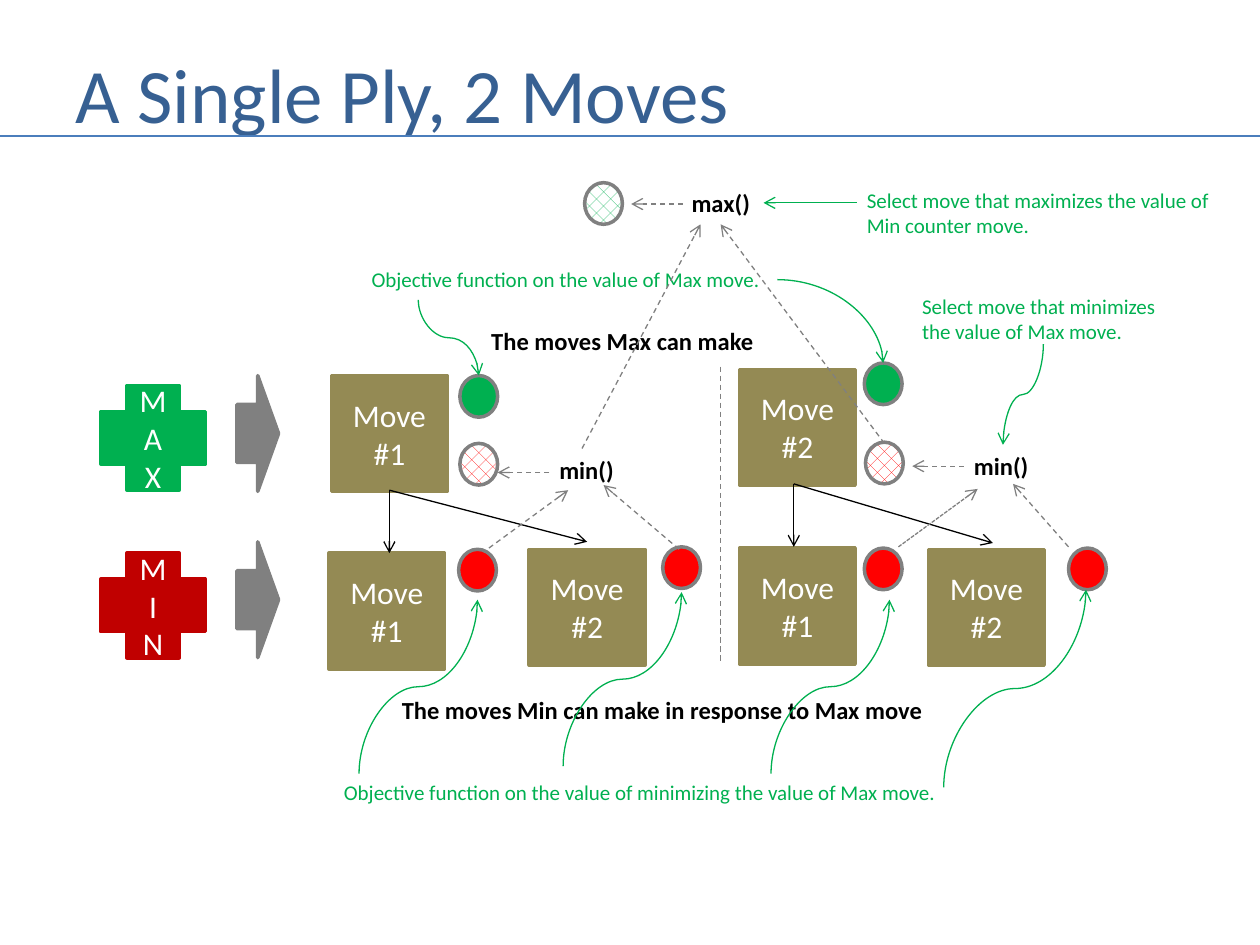
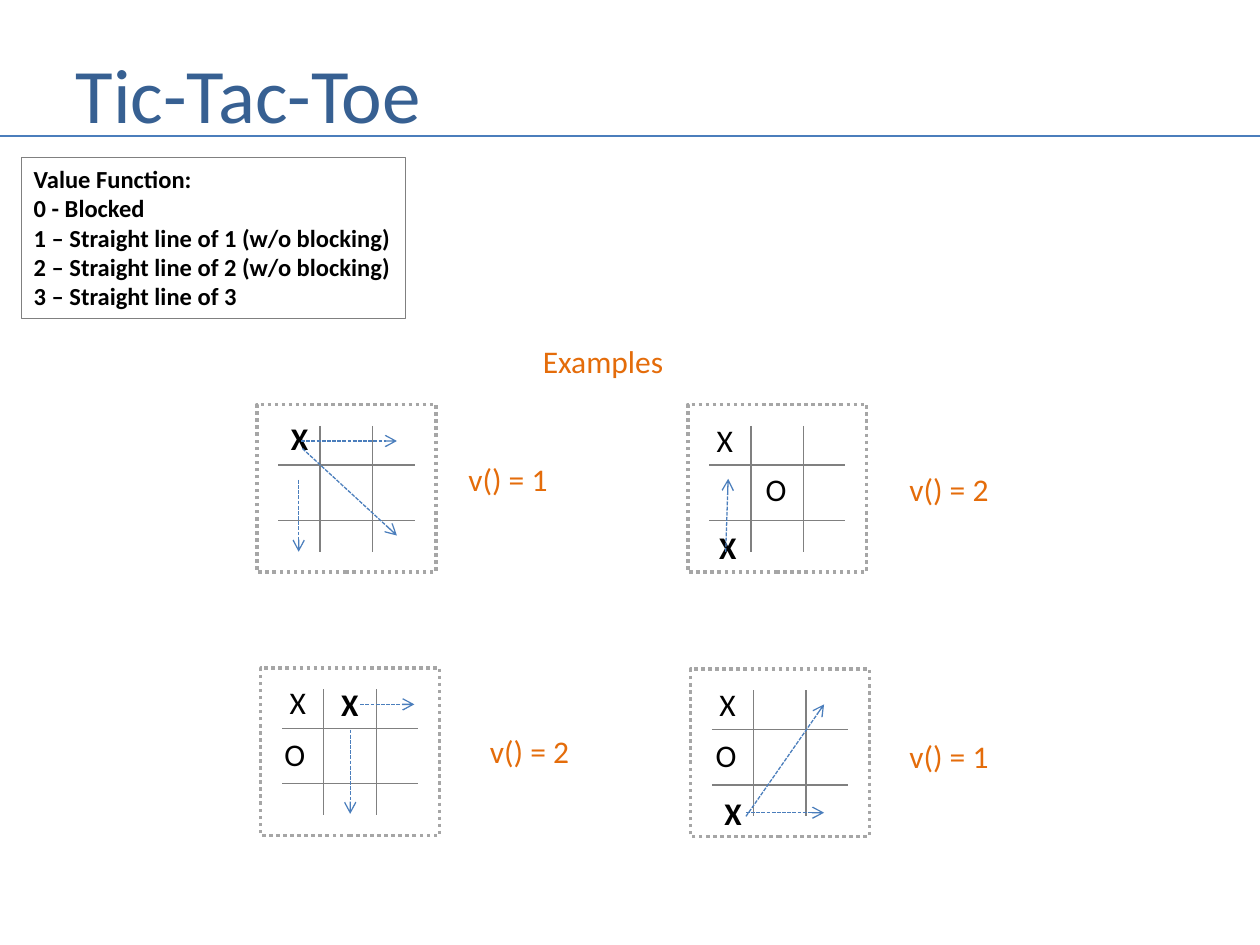
from dataclasses import dataclass
from math import cos, radians, sin

from lxml import etree
from pptx import Presentation
from pptx.dml.color import RGBColor
from pptx.enum.dml import MSO_LINE, MSO_PATTERN
from pptx.enum.shapes import MSO_CONNECTOR, MSO_SHAPE
from pptx.enum.text import MSO_ANCHOR, MSO_AUTO_SIZE, PP_ALIGN
from pptx.oxml.ns import qn
from pptx.util import Pt

STRAIGHT, CURVE = MSO_CONNECTOR.STRAIGHT, MSO_CONNECTOR.CURVE
DASH, SHORT_DASH, DOTS = MSO_LINE.DASH, MSO_LINE.SQUARE_DOT, MSO_LINE.ROUND_DOT
RECTANGLE, OVAL = MSO_SHAPE.RECTANGLE, MSO_SHAPE.OVAL
CROSS, RIGHT_ARROW = MSO_SHAPE.CROSS, MSO_SHAPE.RIGHT_ARROW
SPECKLED = MSO_PATTERN.PERCENT_25
LEFT, CENTER = PP_ALIGN.LEFT, PP_ALIGN.CENTER
MIDDLE, FIT_SHAPE = MSO_ANCHOR.MIDDLE, MSO_AUTO_SIZE.SHAPE_TO_FIT_TEXT

FONT = "Calibri"
TITLE_BLUE, LINE_BLUE = "376092", "4B7EBC"
BLACK, WHITE, GREY, PALE_GREY = "000000", "FFFFFF", "808080", "A6A6A6"
GREEN, RED, DARK_RED = "00B050", "FF0000", "C00000"
OLIVE, ORANGE = "948A54", "E46C0A"

MOVE_SIZE = (66.2, 66.2)
TOKEN_SIZE = (21.6, 23.8)
BOARD_SIZE = (102.2, 95.8)
TITLE_ONLY_LAYOUT = 5


@dataclass
class Label:
    text: str
    left: float
    top: float
    width: float
    height: float
    size: float = 14
    color: str = BLACK
    bold: bool = False
    outline: str | None = None


@dataclass
class Block:
    left: float
    top: float
    size: tuple[float, float]
    fill: str | None
    outline: str
    kind: int = RECTANGLE
    text: str = ""
    speckled: bool = False
    dash: int | None = None


@dataclass
class Link:
    begin: tuple[float, float]
    end: tuple[float, float]
    color: str = GREY
    dash: int | None = None
    arrow: bool = True
    kind: int = STRAIGHT
    rotation: int = 0
    width: float = 0.75
    preset: str | None = None


@dataclass
class Board:
    left: float
    top: float
    marks: list[tuple[str, float, float, bool]]
    arrows: list[tuple[float, float, float, float]]
    value: str
    value_left: float
    value_top: float


def rgb(color: str) -> RGBColor:
    return RGBColor.from_string(color)


def write(shape, text: str, size: float, color: str, bold=False, align=LEFT) -> None:
    """Fill a shape with text, one paragraph per line."""
    shape.text_frame.text = text
    for paragraph in shape.text_frame.paragraphs:
        paragraph.alignment = align
        paragraph.font.name = FONT
        paragraph.font.size = Pt(size)
        paragraph.font.bold = bold
        paragraph.font.color.rgb = rgb(color)


def style_line(line, color: str, width: float, dash: int | None = None) -> None:
    line.color.rgb = rgb(color)
    line.width = Pt(width)
    if dash is not None:
        line.dash_style = dash


def draw_label(slide, label: Label) -> None:
    box = slide.shapes.add_textbox(
        Pt(label.left), Pt(label.top), Pt(label.width), Pt(label.height))
    write(box, label.text, label.size, label.color, label.bold)
    box.text_frame.word_wrap = False
    box.text_frame.auto_size = FIT_SHAPE
    if label.outline:
        style_line(box.line, label.outline, 0.75)


def draw_block(slide, block: Block) -> None:
    width, height = block.size
    shape = slide.shapes.add_shape(
        block.kind, Pt(block.left), Pt(block.top), Pt(width), Pt(height))
    shape.shadow.inherit = False
    if block.fill is None:
        shape.fill.background()
    elif block.speckled:
        shape.fill.patterned()
        shape.fill.pattern = SPECKLED
        shape.fill.fore_color.rgb = rgb(block.fill)
        shape.fill.back_color.rgb = rgb(WHITE)
    else:
        shape.fill.solid()
        shape.fill.fore_color.rgb = rgb(block.fill)
    style_line(shape.line, block.outline, 2, block.dash)
    if block.text:
        write(shape, block.text, 18, WHITE, align=CENTER)
        shape.text_frame.word_wrap = True
        shape.text_frame.vertical_anchor = MIDDLE


def draw_link(slide, link: Link) -> None:
    """Draw a connector, turned about its middle so that its ends stay put."""
    (x1, y1), (x2, y2) = link.begin, link.end
    middle_x, middle_y = (x1 + x2) / 2, (y1 + y2) / 2
    half_x, half_y = (x2 - x1) / 2, (y2 - y1) / 2
    cosine, sine = cos(radians(link.rotation)), sin(radians(link.rotation))
    turned_x = half_x * cosine + half_y * sine
    turned_y = half_y * cosine - half_x * sine
    connector = slide.shapes.add_connector(
        link.kind, Pt(middle_x - turned_x), Pt(middle_y - turned_y),
        Pt(middle_x + turned_x), Pt(middle_y + turned_y))
    connector.rotation = link.rotation
    style_line(connector.line, link.color, link.width, link.dash)
    properties = connector._element.spPr
    if link.preset:
        properties.find(qn("a:prstGeom")).set("prst", link.preset)
    if link.arrow:
        etree.SubElement(properties.find(qn("a:ln")), qn("a:tailEnd"), type="arrow")
    etree.SubElement(properties, qn("a:effectLst"))


def add_titled_slide(presentation, title: str):
    slide = presentation.slides.add_slide(
        presentation.slide_layouts[TITLE_ONLY_LAYOUT])
    placeholder = slide.shapes.title
    placeholder.left, placeholder.top = Pt(36), Pt(21.6)
    placeholder.width, placeholder.height = Pt(653.8), Pt(62.6)
    write(placeholder, title, 44, TITLE_BLUE)
    placeholder.text_frame.vertical_anchor = MIDDLE
    draw_link(slide, Link((0, 77.8), (720, 77.8), LINE_BLUE, arrow=False, width=1.5))
    return slide


def build_ply_slide(presentation) -> None:
    slide = add_titled_slide(presentation, "A Single Ply, 2 Moves")

    players = [("MAX", GREEN, 220.3, 214.6), ("MIN", DARK_RED, 316.1, 309.6)]
    for name, color, cross_top, arrow_top in players:
        draw_block(slide, Block(57.6, cross_top, (59.8, 59.8), color, color, CROSS, name))
        draw_block(slide, Block(135.4, arrow_top, (23.8, 66.2), GREY, GREY, RIGHT_ARROW))

    moves = [
        (189.4, 214.6, 1), (422.6, 211, 2),
        (187.9, 316.1, 1), (302.4, 313.9, 2), (422.6, 313.2, 1), (530.6, 313.9, 2),
    ]
    for left, top, number in moves:
        draw_block(slide, Block(left, top, MOVE_SIZE, OLIVE, OLIVE, text=f"Move\v#{number}"))

    labels = [
        Label("The moves Min can make in response to Max move",
              222.5, 393.8, 313.2, 24.5, bold=True),
        Label("The moves Max can make", 273.6, 182.9, 164.9, 24.5, bold=True),
        Label("max()", 388.1, 103.7, 48.2, 24.5, bold=True),
        Label("min()", 312.5, 256.3, 46.8, 24.5, bold=True),
        Label("min()", 549.4, 254.2, 46.8, 24.5, bold=True),
        Label("Objective function on the value of Max move.",
              205.2, 149, 239, 21.6, 12, GREEN),
        Label("Objective function on the value of minimizing the value of Max move.",
              189.4, 442.1, 353.5, 21.6, 12, GREEN),
        Label("Select move that minimizes\nthe value of Max move.",
              519.8, 164.2, 149.8, 36, 12, GREEN),
        Label("Select move that maximizes the value of\nMin counter move.",
              488.2, 103.7, 212.4, 36, 12, GREEN),
    ]
    for label in labels:
        draw_label(slide, label)

    tokens = [
        (262.8, 214.6, GREEN, False), (493.9, 207.4, GREEN, False),
        (334.1, 104.4, GREEN, True),
        (262.8, 253.4, RED, True), (494.6, 252.7, RED, True),
        (262.1, 313.9, RED, False), (378.7, 312.5, RED, False),
        (493.9, 313.2, RED, False), (610.6, 313.2, RED, False),
    ]
    for left, top, color, speckled in tokens:
        draw_block(slide, Block(left, top, TOKEN_SIZE, color, GREY, OVAL, speckled=speckled))

    divider = Link((411.8, 209.5), (411.8, 378), dash=DASH, arrow=False)
    replies = [
        Link(begin, end, BLACK)
        for begin, ends in [
            ((222.5, 280.1), [(222.5, 316.1), (335.5, 309.6)]),
            ((453.6, 276.5), [(453.6, 312.5), (567.4, 310.3)]),
        ]
        for end in ends
    ]
    values_passed_up = [
        Link((279.4, 313.2), (324.7, 280.1), dash=DASH),
        Link((388.1, 313.9), (344.9, 277.2), dash=DASH),
        Link((513.4, 312.5), (558.7, 279.4), dash=SHORT_DASH),
        Link((610.6, 312.5), (578.9, 276.5), dash=DASH),
        Link((332.6, 256.3), (400.3, 128.2), dash=DASH),
        Link((505.4, 253.4), (411.8, 128.2), dash=DASH),
    ]
    results = [
        Link((x, y), (x - 29.5, y), dash=DASH)
        for x, y in [(313.9, 270), (550.8, 266.4), (390.2, 116.6)]
    ]
    explanations = [
        Link(begin, end, GREEN, kind=CURVE, rotation=rotation)
        for begin, end, rotation in [
            ((205.2, 442.1), (272.9, 342.7), 90),
            ((321.8, 437.8), (389.5, 338.4), 90),
            ((440.6, 442.1), (508.3, 342.7), 90),
            ((539.3, 450), (620.6, 337), 90),
            ((596.2, 196.6), (573.1, 254.2), 90),
            ((239, 171.4), (273.6, 214.6), 270),
            ((489.6, 115.9), (436.3, 115.9), 180),
        ]
    ]
    quarter_turn = Link((444.2, 159.8), (504.7, 207.4), GREEN, kind=CURVE,
                        preset="curvedConnector2")
    for link in [divider, *replies, *values_passed_up, *results, *explanations, quarter_turn]:
        draw_link(slide, link)


def draw_board(slide, board: Board) -> None:
    """Draw a framed grid with its marks, open lines and value."""
    left, top = board.left, board.top
    for x in (36, 66):
        draw_link(slide, Link((left + x, top + 12.2), (left + x, top + 84.2), arrow=False))
    for y in (34.6, 66.2):
        draw_link(slide, Link((left + 12.2, top + y), (left + 90, top + y), arrow=False))
    draw_block(slide, Block(left, top, BOARD_SIZE, None, PALE_GREY, dash=DOTS))
    for mark, x, y, bold in board.marks:
        width = 26.6 if mark == "O" else 24.2
        draw_label(slide, Label(mark, left + x, top + y, width, 28.8, 18, bold=bold))
    for x1, y1, x2, y2 in board.arrows:
        draw_link(slide, Link((left + x1, top + y1), (left + x2, top + y2),
                              LINE_BLUE, SHORT_DASH))
    draw_label(slide, Label(board.value, board.value_left, board.value_top,
                            60.5, 28.8, 18, ORANGE))


def build_tic_tac_toe_slide(presentation) -> None:
    slide = add_titled_slide(presentation, "Tic-Tac-Toe")
    value_function = "\n".join([
        "Value Function:",
        "0 - Blocked",
        "1 – Straight line of 1 (w/o blocking)",
        "2 – Straight line of 2 (w/o blocking)",
        "3 – Straight line of 3",
    ])
    draw_label(slide, Label(value_function, 12.2, 90, 219.6, 92.2, bold=True, outline=GREY))
    draw_label(slide, Label("Examples", 303.1, 192.2, 84.2, 28.8, 18, ORANGE))

    boards = [
        Board(146.9, 231.1, [("X", 12.2, 5, True)],
              [(23.8, 43.2, 23.8, 84.2), (25.2, 20.9, 79.9, 20.9), (25.9, 25.2, 79.9, 74.9)],
              "v() = 1", 260.6, 259.2),
        Board(393.1, 231.1,
              [("X", 9.4, 5.8, False), ("X", 10.8, 67, True), ("O", 37.4, 33.8, False)],
              [(21.6, 84.2, 23, 42.5)],
              "v() = 2", 512.6, 265),
        Board(149, 381.6,
              [("X", 9.4, 5, False), ("X", 38.9, 6.5, True), ("O", 6.5, 34.6, False)],
              [(51.1, 35.3, 51.1, 83.5), (56.9, 20.9, 87.8, 20.9)],
              "v() = 2", 272.9, 414.7),
        Board(394.6, 382.3,
              [("X", 9.4, 5.8, False), ("X", 12.2, 67.7, True), ("O", 7.2, 34.6, False)],
              [(31.7, 82.1, 76.3, 82.1), (31.7, 84.2, 76.3, 20.2)],
              "v() = 1", 512.6, 417.6),
    ]
    for board in boards:
        draw_board(slide, board)


def main() -> None:
    presentation = Presentation()
    presentation.slide_width, presentation.slide_height = Pt(720), Pt(540)
    build_ply_slide(presentation)
    build_tic_tac_toe_slide(presentation)
    presentation.save("out.pptx")


if __name__ == "__main__":
    main()
